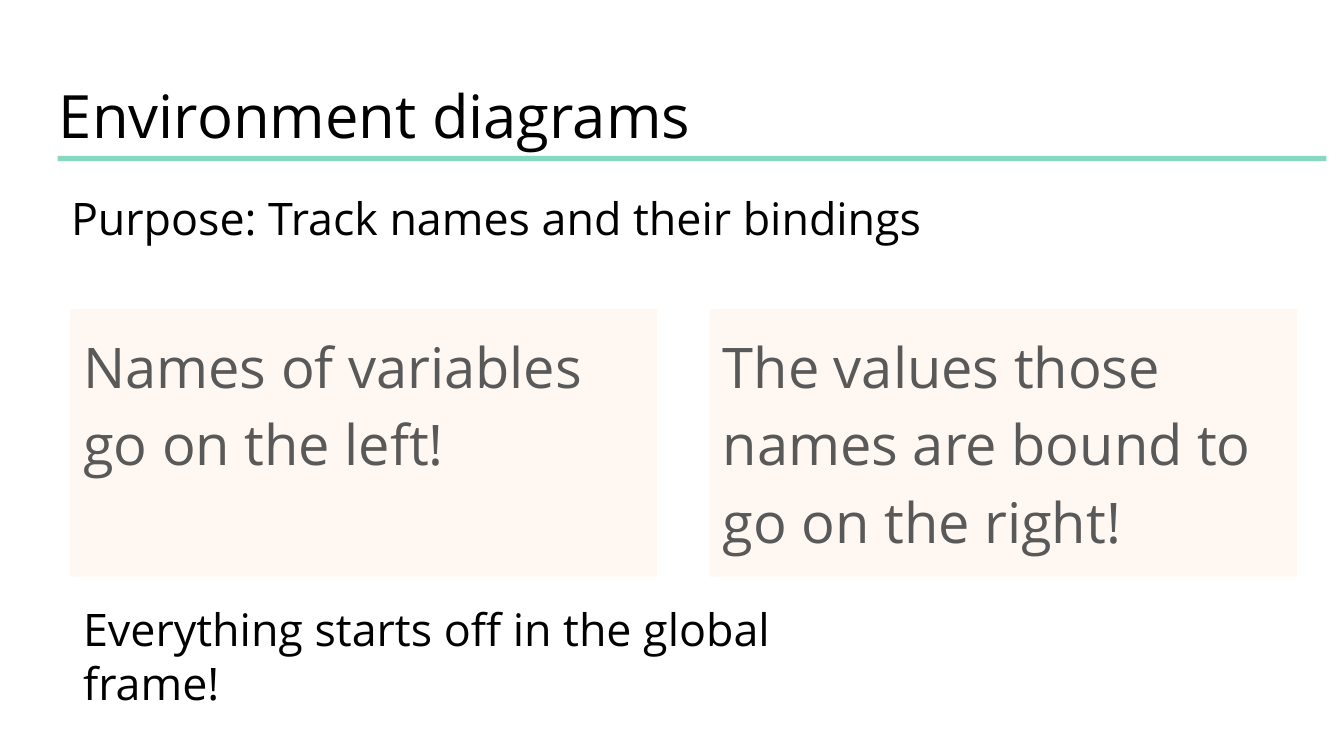
from pptx import Presentation
from pptx.dml.color import RGBColor
from pptx.enum.shapes import MSO_SHAPE
from pptx.enum.text import MSO_ANCHOR, PP_ALIGN
from pptx.util import Inches, Pt

RECTANGLE = MSO_SHAPE.RECTANGLE
TOP = MSO_ANCHOR.TOP
LEFT = PP_ALIGN.LEFT

FONT = "Open Sans"
BLACK = RGBColor(0x00, 0x00, 0x00)
GREY = RGBColor(0x59, 0x59, 0x59)
MINT = RGBColor(0x86, 0xD9, 0xC0)
CREAM = RGBColor(0xFF, 0xF8, 0xF2)


def write(shape, text, size=24, color=BLACK, line_spacing=None):
    frame = shape.text_frame
    frame.word_wrap = True
    frame.vertical_anchor = TOP
    frame.margin_left = frame.margin_right = Inches(0.1)
    frame.margin_top = frame.margin_bottom = Inches(0.1)
    paragraph = frame.paragraphs[0]
    paragraph.alignment = LEFT
    if line_spacing:
        paragraph.line_spacing = line_spacing
    run = paragraph.add_run()
    run.text = text
    run.font.name = FONT
    run.font.size = Pt(size)
    run.font.color.rgb = color


def add_text(slide, box, text, **style):
    write(slide.shapes.add_textbox(*map(Inches, box)), text, **style)


def add_block(slide, box, color):
    block = slide.shapes.add_shape(RECTANGLE, *map(Inches, box))
    block.shadow.inherit = False
    block.fill.solid()
    block.fill.fore_color.rgb = color
    block.line.fill.background()
    return block


def add_header(slide, box, title):
    left, top, width, height = box
    add_block(slide, (left + 0.09, top + 0.67, 9.44, 0.04), MINT)
    add_text(slide, (left, top, width, height), title, size=32)


def add_cards(slide, box, texts, gap):
    left, top, width, height = box
    card_width = (width - gap * (len(texts) - 1)) / len(texts)
    for i, text in enumerate(texts):
        card_left = left + i * (card_width + gap)
        card = add_block(slide, (card_left, top, card_width, height), CREAM)
        write(card, text, size=30, color=GREY, line_spacing=1.15)


prs = Presentation()
prs.slide_width = Inches(10)
prs.slide_height = prs.slide_width * 9 // 16
slide = prs.slides.add_slide(prs.slide_layouts[6])

# Title with underline
add_header(slide, (0.34, 0.49, 9.32, 0.63), "Environment diagrams")

# Names and values
add_cards(slide, (0.52, 2.3, 9.13, 1.99),
          ["Names of variables go on the left!",
           "The values those names are bound to go on the right!"], gap=0.39)

# Remarks below and above the cards
add_text(slide, (0.52, 4.38, 6.21, 1.01),
         "Everything starts off in the global frame!")
add_text(slide, (0.43, 1.32, 7.59, 0.63),
         "Purpose: Track names and their bindings")

prs.save("out.pptx")
